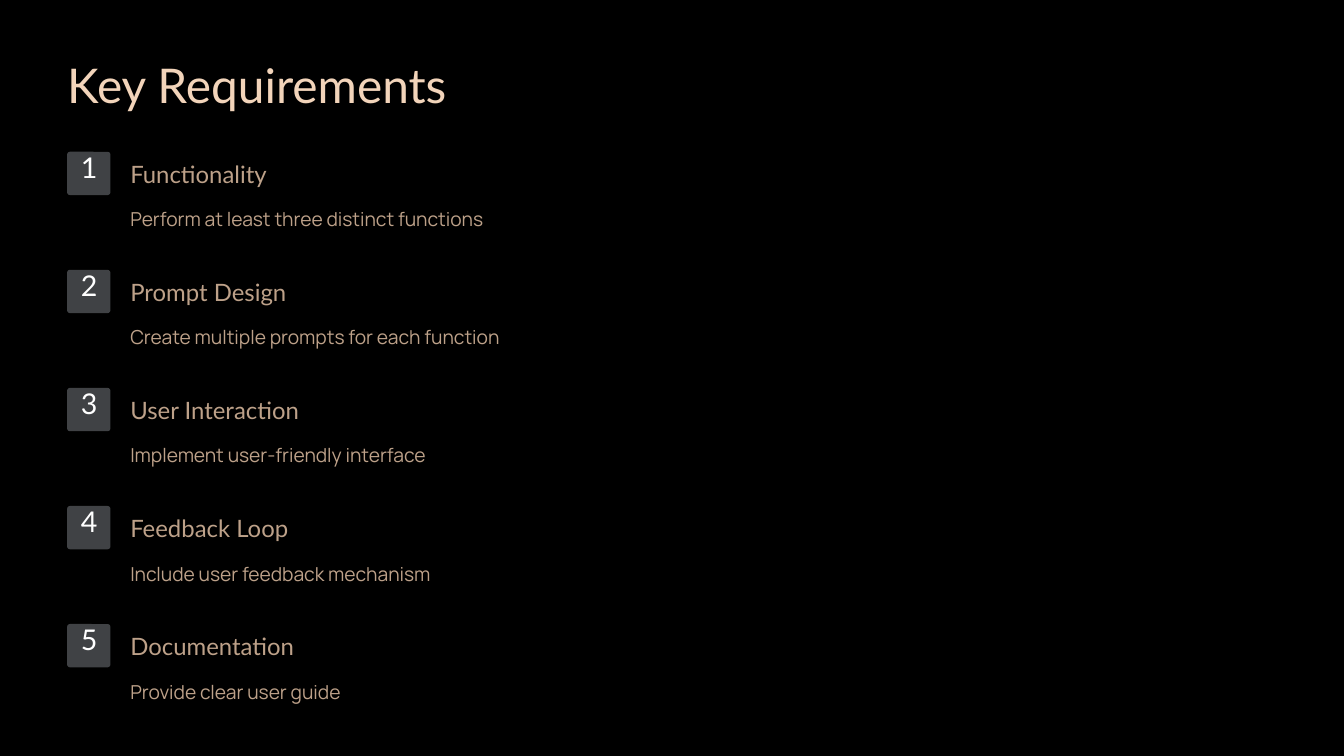
from pptx import Presentation
from pptx.dml.color import RGBColor
from pptx.enum.shapes import MSO_SHAPE
from pptx.enum.text import MSO_ANCHOR, MSO_AUTO_SIZE, PP_ALIGN
from pptx.util import Cm, Pt

COLORS = {
    "background": "000000",
    "title": "F2D4BA",
    "badge": "404245",
    "number": "FFFFFF",
    "body": "BDA189",
}
REQUIREMENTS = [
    ("Functionality", "Perform at least three distinct functions"),
    ("Prompt Design", "Create multiple prompts for each function"),
    ("User Interaction", "Implement user-friendly interface"),
    ("Feedback Loop", "Include user feedback mechanism"),
    ("Documentation", "Provide clear user guide"),
]
FIRST_TOP = 4.59
ROW_PITCH = 3.57
BADGE_LEFT = 2.03
BADGE_SIZE = 1.31
TEXT_LEFT = 3.94


def color(name):
    """Return the named colour."""
    return RGBColor.from_string(COLORS[name])


def write(box, text, font, size, leading, color_name, align=PP_ALIGN.LEFT):
    """Fill a box with one formatted paragraph without margins."""
    frame = box.text_frame
    frame.text = text
    frame.word_wrap = True
    frame.auto_size = MSO_AUTO_SIZE.NONE
    frame.vertical_anchor = MSO_ANCHOR.TOP
    frame.margin_left = frame.margin_right = 0
    frame.margin_top = frame.margin_bottom = 0
    para = frame.paragraphs[0]
    para.alignment = align
    para.line_spacing = Pt(leading)
    span = para.runs[0]
    span.font.name = font
    span.font.size = Pt(size)
    span.font.color.rgb = color(color_name)


def add_title(page, text):
    """Place and format the slide title."""
    title = page.shapes.title
    title.left, title.top = Cm(BADGE_LEFT), Cm(1.6)
    title.width, title.height = Cm(14.61), Cm(1.83)
    write(title, text, "Lato", 41, 51.5, "title")


def add_badge(page, top, number):
    """Draw a rounded square with its number."""
    badge = page.shapes.add_shape(
        MSO_SHAPE.ROUNDED_RECTANGLE,
        Cm(BADGE_LEFT), Cm(top), Cm(BADGE_SIZE), Cm(BADGE_SIZE))
    badge.adjustments[0] = 0.067
    badge.shadow.inherit = False
    badge.fill.solid()
    badge.fill.fore_color.rgb = color("badge")
    badge.line.fill.background()
    box = page.shapes.add_textbox(Cm(2.26), Cm(top + 0.11), Cm(0.87), Cm(1.09))
    write(box, str(number), "Lato", 24.5, 24.5, "number", PP_ALIGN.CENTER)


def add_requirement(page, number, heading, detail):
    """Draw one numbered requirement row."""
    top = FIRST_TOP + (number - 1) * ROW_PITCH
    add_badge(page, top, number)
    box = page.shapes.add_textbox(Cm(TEXT_LEFT), Cm(top + 0.21), Cm(7.29), Cm(0.91))
    write(box, heading, "Lato", 20.5, 25.5, "body")
    box = page.shapes.add_textbox(Cm(TEXT_LEFT), Cm(top + 1.47), Cm(34.65), Cm(0.95))
    write(box, detail, "Manrope", 16.5, 26, "body")


def main():
    """Build and save the slide."""
    deck = Presentation()
    deck.slide_width, deck.slide_height = Cm(40.64), Cm(22.86)
    page = deck.slides.add_slide(deck.slide_layouts[5])
    page.background.fill.solid()
    page.background.fill.fore_color.rgb = color("background")
    add_title(page, "Key Requirements")
    for number, (heading, detail) in enumerate(REQUIREMENTS, start=1):
        add_requirement(page, number, heading, detail)
    deck.save("out.pptx")


if __name__ == "__main__":
    main()
